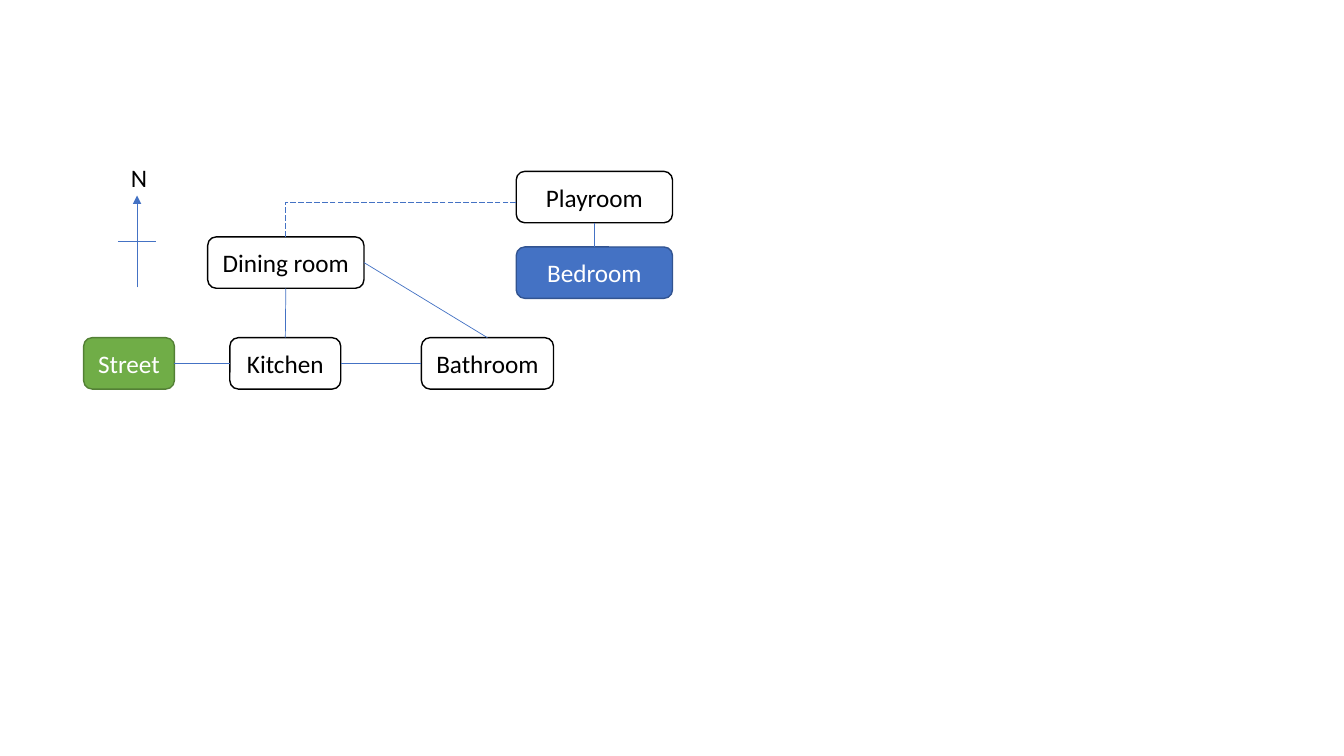
from lxml import etree
from pptx import Presentation
from pptx.dml.color import RGBColor
from pptx.enum import dml, shapes, text
from pptx.oxml.ns import qn
from pptx.util import Inches, Pt

BLACK, WHITE, BLUE = "000000", "FFFFFF", "4472C4"
TOP, LEFT, BOTTOM, RIGHT = range(4)

prs = Presentation()
prs.slide_width, prs.slide_height = Inches(13.33), Inches(7.5)
s = prs.slides.add_slide(prs.slide_layouts[6])


def write(sp, words, color=BLACK, align=text.PP_ALIGN.CENTER,
          anchor=text.MSO_ANCHOR.MIDDLE, wrap=True):
    tf = sp.text_frame
    tf.word_wrap, tf.vertical_anchor = wrap, anchor
    p = tf.paragraphs[0]
    p.alignment = align
    r = p.add_run()
    r.text = words
    r.font.name, r.font.size = "Calibri", Pt(18)
    r.font.color.rgb = RGBColor.from_string(color)


def connect(x1, y1, x2, y2, kind=shapes.MSO_CONNECTOR.STRAIGHT):
    line = s.shapes.add_connector(kind, Inches(x1), Inches(y1), Inches(x2), Inches(y2))
    line.line.color.rgb = RGBColor.from_string(BLUE)
    line.line.width = Pt(0.5)
    etree.SubElement(line._element.spPr, qn("a:effectLst"))
    return line


# Rooms: name, left, top, width, fill, outline, text colour
rooms = {}
for name, x, y, w, fill, outline, color in [
    ("Kitchen", 2.28, 3.35, 1.1, WHITE, BLACK, BLACK),
    ("Dining room", 2.06, 2.35, 1.55, WHITE, BLACK, BLACK),
    ("Bathroom", 4.18, 3.35, 1.31, WHITE, BLACK, BLACK),
    ("Street", 0.83, 3.35, 0.9, "70AD47", "538035", WHITE),
    ("Playroom", 5.12, 1.7, 1.55, WHITE, BLACK, BLACK),
    ("Bedroom", 5.12, 2.45, 1.55, BLUE, "325491", WHITE),
]:
    sp = s.shapes.add_shape(shapes.MSO_SHAPE.ROUNDED_RECTANGLE,
                            Inches(x), Inches(y), Inches(w), Inches(0.51))
    sp.shadow.inherit = False
    sp.fill.solid()
    sp.fill.fore_color.rgb = RGBColor.from_string(fill)
    sp.line.color.rgb = RGBColor.from_string(outline)
    sp.line.width = Pt(1)
    write(sp, name, color)
    rooms[name] = sp

# Doors between rooms
for start, start_side, end, end_side in [
    ("Dining room", BOTTOM, "Kitchen", TOP),
    ("Kitchen", RIGHT, "Bathroom", LEFT),
    ("Dining room", RIGHT, "Bathroom", TOP),
    ("Kitchen", LEFT, "Street", RIGHT),
    ("Playroom", BOTTOM, "Bedroom", TOP),
]:
    door = connect(0, 0, 0, 0)
    door.begin_connect(rooms[start], start_side)
    door.end_connect(rooms[end], end_side)

# Dashed passage with a single bend
passage = connect(5.12, 2.01, 2.83, 2.35, shapes.MSO_CONNECTOR.ELBOW)
passage._element.spPr.find(qn("a:prstGeom")).set("prst", "bentConnector2")
passage.line.dash_style = dml.MSO_LINE.LONG_DASH

# Compass
north = connect(1.36, 2.85, 1.36, 1.94)
etree.SubElement(north.line._get_or_add_ln(), qn("a:tailEnd"), type="triangle")
connect(1.17, 2.39, 1.55, 2.39)
label = s.shapes.add_textbox(Inches(1.2), Inches(1.56), Inches(0.36), Inches(0.4))
write(label, "N", align=text.PP_ALIGN.LEFT, anchor=text.MSO_ANCHOR.TOP, wrap=False)
label.text_frame.auto_size = text.MSO_AUTO_SIZE.SHAPE_TO_FIT_TEXT

prs.save("out.pptx")
